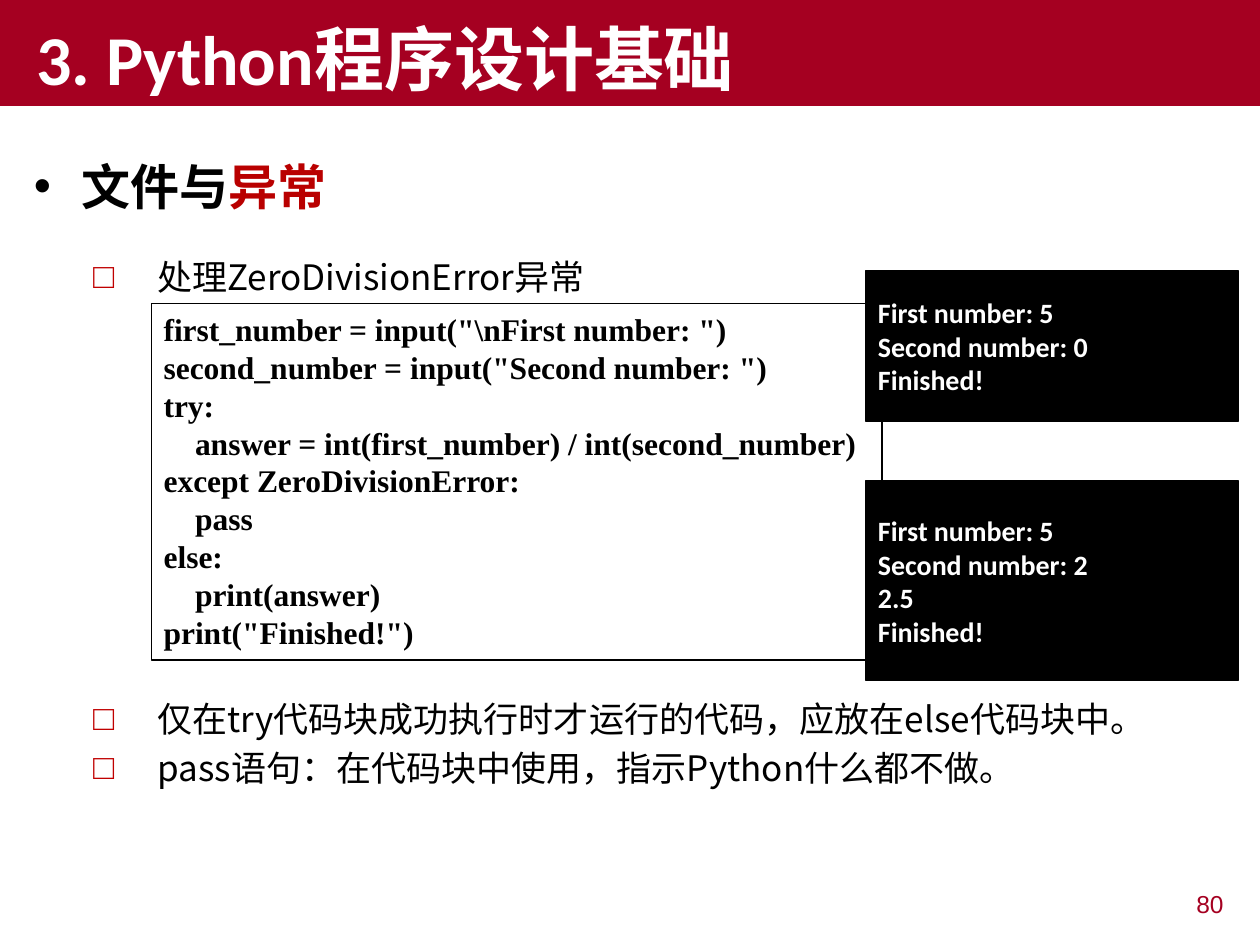
from dataclasses import dataclass

from lxml import etree
from pptx import Presentation
from pptx.dml.color import RGBColor
from pptx.enum.shapes import MSO_SHAPE
from pptx.enum.text import MSO_ANCHOR, PP_ALIGN
from pptx.oxml.ns import qn
from pptx.util import Inches, Pt

RECTANGLE = MSO_SHAPE.RECTANGLE
TOP, MIDDLE, BOTTOM = MSO_ANCHOR.TOP, MSO_ANCHOR.MIDDLE, MSO_ANCHOR.BOTTOM
LEFT, RIGHT = PP_ALIGN.LEFT, PP_ALIGN.RIGHT
COLUMNS, ROWS = 100, 75


@dataclass(frozen=True)
class Theme:
    """Colours, fonts and type sizes of the deck."""

    crimson: str = "A50021"
    accent: str = "B90000"
    bullet: str = "C00000"
    black: str = "000000"
    white: str = "FFFFFF"
    heading_font: str = "Calibri"
    body_font: str = "Noto Sans CJK SC"
    code_font: str = "Times New Roman"
    number_font: str = "Arial"
    title_size: int = 40
    topic_size: int = 28
    body_size: int = 20
    code_size: int = 18
    console_size: int = 16
    number_size: int = 14


class SlideBuilder:
    """Draws the elements of one slide on a grid of columns and rows."""

    def __init__(self, presentation, theme):
        self.theme = theme
        self.width = presentation.slide_width
        self.height = presentation.slide_height
        self.slide = presentation.slides.add_slide(presentation.slide_layouts[6])

    def place(self, column, row, columns, rows):
        """Turn grid units into slide lengths."""
        return (int(self.width * column / COLUMNS), int(self.height * row / ROWS),
                int(self.width * columns / COLUMNS), int(self.height * rows / ROWS))

    def panel(self, area, fill=None, line=None, line_width=1):
        """Add a plain rectangle and return it."""
        panel = self.slide.shapes.add_shape(RECTANGLE, *self.place(*area))
        panel.shadow.inherit = False
        if fill:
            panel.fill.solid()
            panel.fill.fore_color.rgb = RGBColor.from_string(fill)
        else:
            panel.fill.background()
        if line:
            panel.line.color.rgb = RGBColor.from_string(line)
            panel.line.width = Pt(line_width)
        else:
            panel.line.fill.background()
        return panel

    def fill_lines(self, holder, lines, font, size, color, bold=False, anchor=TOP,
                   paragraph_format=None, margin=0, indent=0, bullet=None):
        """Fill a shape with lines, each a string or a list of (text, colour) runs."""
        frame = holder.text_frame
        frame.word_wrap = True
        frame.vertical_anchor = anchor
        for position, line in enumerate(lines):
            paragraph = frame.add_paragraph() if position else frame.paragraphs[0]
            properties = paragraph._p.get_or_add_pPr()
            properties.set("marL", str(Inches(margin)))
            properties.set("indent", str(Inches(indent)))
            if bullet:
                self.bullet(properties, *bullet)
            for name, value in {"alignment": LEFT, **(paragraph_format or {})}.items():
                setattr(paragraph, name, value)
            for text, run_color in [(line, color)] if isinstance(line, str) else line:
                run = paragraph.add_run()
                run.text = text
                for name, value in {"name": font, "size": Pt(size), "bold": bold}.items():
                    setattr(run.font, name, value)
                run.font.color.rgb = RGBColor.from_string(run_color)
                east_asian = etree.SubElement(run._r.get_or_add_rPr(), qn("a:ea"))
                east_asian.set("typeface", self.theme.body_font)

    def bullet(self, properties, symbol, color):
        """Give a paragraph a coloured bullet symbol."""
        tint = etree.SubElement(properties, qn("a:buClr"))
        etree.SubElement(tint, qn("a:srgbClr")).set("val", color)
        typeface = etree.SubElement(properties, qn("a:buFont"))
        typeface.set("typeface", self.theme.number_font)
        etree.SubElement(properties, qn("a:buChar")).set("char", symbol)

    def text(self, area, lines, *style, **options):
        """Add a text box with lines."""
        box = self.slide.shapes.add_textbox(*self.place(*area))
        self.fill_lines(box, lines, *style, **options)

    def title(self, title):
        """Add the title band across the top."""
        theme = self.theme
        band = self.panel((0, 0, COLUMNS, 8.4), fill=theme.crimson)
        self.fill_lines(band, [title], theme.heading_font, theme.title_size, theme.white,
                        bold=True, anchor=BOTTOM, indent=0.19)

    def topic(self, runs):
        """Add the bold topic line."""
        theme = self.theme
        self.text((1.7, 11.9, 93.9, 5.7), [runs], theme.body_font, theme.topic_size,
                  theme.black, bold=True, margin=0.38, indent=-0.38,
                  bullet=("•", theme.black))

    def points(self, row, points):
        """Add a list of points with square bullets."""
        theme = self.theme
        self.text((6.4, row, 91.6, 4 * len(points) + 1), points, theme.body_font,
                  theme.body_size, theme.black, margin=0.51, indent=-0.51,
                  bullet=("□", theme.bullet), paragraph_format={"line_spacing": Pt(28)})

    def code(self, area, code):
        """Add a framed code listing."""
        theme = self.theme
        frame = self.panel(area, line=theme.black, line_width=0.75)
        self.fill_lines(frame, code.splitlines(), theme.code_font, theme.code_size,
                        theme.black, bold=True,
                        paragraph_format={"line_spacing": Pt(21.65)})

    def console(self, row, rows, output):
        """Add a black console window with its output."""
        theme = self.theme
        window = self.panel((68.7, row, 29.6, rows), fill=theme.black, line=theme.black)
        self.fill_lines(window, output, theme.heading_font, theme.console_size,
                        theme.white, bold=True, anchor=MIDDLE)

    def page_number(self, number):
        """Add the page number at the bottom right."""
        theme = self.theme
        self.text((76.4, 70.1, 21.7, 3.9), [number], theme.number_font,
                  theme.number_size, theme.crimson, paragraph_format={"alignment": RIGHT})


CODE = r'''first_number = input("\nFirst number: ")
second_number = input("Second number: ")
try:
    answer = int(first_number) / int(second_number)
except ZeroDivisionError:
    pass
else:
    print(answer)
print("Finished!")'''


def main():
    """Build the slide and save it."""
    presentation = Presentation()
    presentation.slide_width, presentation.slide_height = Inches(10), Inches(7.5)
    theme = Theme()
    builder = SlideBuilder(presentation, theme)
    builder.title("3. Python程序设计基础")
    builder.topic([("文件与", theme.black), ("异常", theme.accent)])
    builder.page_number("80")
    builder.points(19.2, ["处理ZeroDivisionError异常"])
    builder.points(54.3, ["仅在try代码块成功执行时才运行的代码，应放在else代码块中。",
                          "pass语句：在代码块中使用，指示Python什么都不做。"])
    builder.code((12, 24.1, 58, 28.3), CODE)
    builder.console(38.2, 15.8, ["First number: 5", "Second number: 2", "2.5", "Finished!"])
    builder.console(21.5, 11.9, ["First number: 5", "Second number: 0", "Finished!"])
    presentation.save("out.pptx")


if __name__ == "__main__":
    main()
